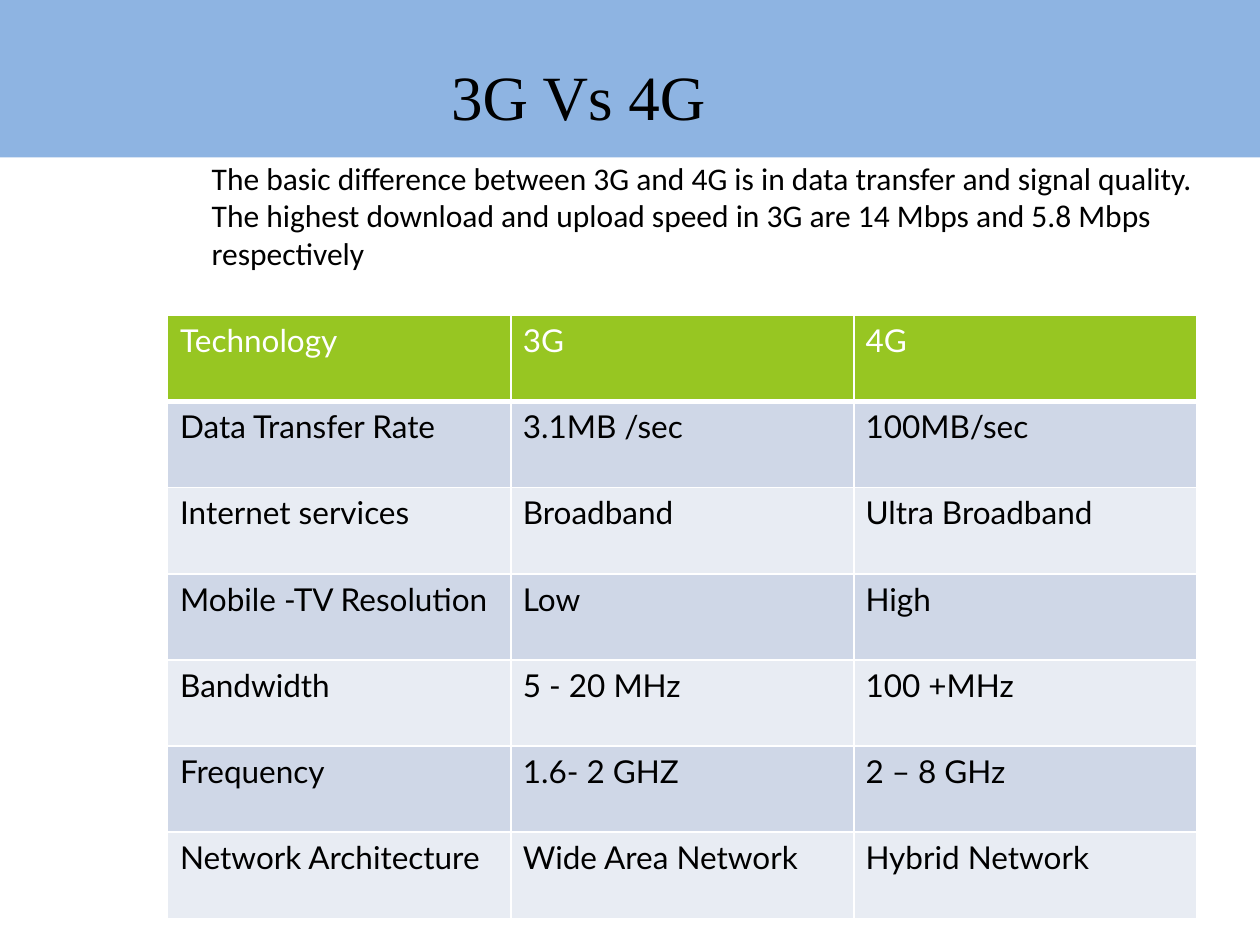
"""Build the 3G versus 4G comparison slide."""
from lxml.etree import SubElement
from pptx import Presentation
from pptx.dml.color import RGBColor
from pptx.enum.shapes import MSO_CONNECTOR, MSO_SHAPE
from pptx.enum.text import MSO_ANCHOR, PP_ALIGN
from pptx.oxml.ns import qn
from pptx.util import Inches, Pt

TITLE = "3G Vs 4G"
INTRO = ("The basic difference between 3G and 4G is in data transfer and signal quality. "
         "The highest download and upload speed in 3G are 14 Mbps and 5.8 Mbps respectively")
ROWS = [
    ("Technology", "3G", "4G"),
    ("Data Transfer Rate", "3.1MB /sec", "100MB/sec"),
    ("Internet services", "Broadband", "Ultra Broadband"),
    ("Mobile -TV Resolution", "Low", "High"),
    ("Bandwidth", "5 - 20 MHz", "100 +MHz"),
    ("Frequency", "1.6- 2 GHZ", "2 – 8 GHz"),
    ("Network Architecture", "Wide Area Network", "Hybrid Network"),
]
COLORS = {"banner": "8EB4E2", "header": "97C622", "odd": "CFD7E7", "even": "E8ECF3",
          "white": "FFFFFF", "black": "000000"}
FONTS = {
    "title": {"name": "Times New Roman", "size": Pt(36), "bold": False},
    "intro": {"name": "Calibri", "size": Pt(18), "bold": False},
    "cell": {"name": "Lato", "size": Pt(18), "bold": False},
}
LEFT, TOP, RIGHT, BOTTOM = 1.33, 2.5, 9.5, 7.29
COL_WIDTHS = (2.63, 2.55, 2.99)
COL_INDENTS = (0.1, 0.19, 0.36)
ROW_HEIGHT = (BOTTOM - TOP) / len(ROWS)
COL_GAP = (RIGHT - LEFT) / len(COL_WIDTHS)
NO_GRID_STYLE = "{2D5ABB26-0587-4C30-8999-92F81FD0307C}"


def rgb(name):
    return RGBColor.from_string(COLORS[name])


def write(tf, text, font, color, margins):
    tf.word_wrap = True
    tf.vertical_anchor = MSO_ANCHOR.TOP
    for side, size in zip(("left", "top", "right", "bottom"), margins):
        setattr(tf, f"margin_{side}", Inches(size))
    p = tf.paragraphs[0]
    p.alignment = PP_ALIGN.LEFT
    r = p.add_run()
    r.text = text
    for key, value in FONTS[font].items():
        setattr(r.font, key, value)
    r.font.color.rgb = rgb(color)


def add_banner(s):
    sp = s.shapes.add_shape(MSO_SHAPE.RECTANGLE, 0, 0, Inches(10), Inches(1.25))
    sp.shadow.inherit = False
    sp.fill.solid()
    sp.fill.fore_color.rgb = rgb("banner")
    sp.line.fill.background()


def add_comparison(s):
    box = [Inches(v) for v in (LEFT, TOP, RIGHT - LEFT, BOTTOM - TOP)]
    frame = s.shapes.add_table(len(ROWS), len(COL_WIDTHS), *box)
    table = frame.table
    frame._element.find(".//" + qn("a:tableStyleId")).text = NO_GRID_STYLE
    for col, width in zip(table.columns, COL_WIDTHS):
        col.width = Inches(width)
    for i, row in enumerate(ROWS):
        table.rows[i].height = Inches(ROW_HEIGHT)
        fill = "header" if i == 0 else "odd" if i % 2 else "even"
        for j, text in enumerate(row):
            cell = table.cell(i, j)
            cell.fill.solid()
            cell.fill.fore_color.rgb = rgb(fill)
            for side, size in (("left", COL_INDENTS[j]), ("top", 0.05),
                               ("right", 0), ("bottom", 0)):
                setattr(cell, f"margin_{side}", Inches(size))
            r = cell.text_frame.paragraphs[0].add_run()
            r.text = text
            for key, value in FONTS["cell"].items():
                setattr(r.font, key, value)
            r.font.color.rgb = rgb("black" if i else "white")


def add_rule(s, x1, y1, x2, y2, width=1):
    ends = [Inches(v) for v in (x1, y1, x2, y2)]
    line = s.shapes.add_connector(MSO_CONNECTOR.STRAIGHT, *ends)
    line.line.color.rgb = rgb("white")
    line.line.width = Pt(width)
    SubElement(line._element.spPr, qn("a:effectLst"))


def add_rules(s):
    for j in range(len(COL_WIDTHS) + 1):
        x = LEFT + j * COL_GAP
        add_rule(s, x, TOP, x, BOTTOM)
    for i in range(len(ROWS) + 1):
        y = TOP + i * ROW_HEIGHT
        add_rule(s, LEFT, y, RIGHT, y, 3 if i == 1 else 1)


def main():
    prs = Presentation()
    prs.slide_width, prs.slide_height = Inches(10), Inches(7.5)
    s = prs.slides.add_slide(prs.slide_layouts[5])
    add_banner(s)
    add_comparison(s)
    add_rules(s)

    title = s.shapes.title
    title.left, title.top, title.width, title.height = map(Inches, (3.57, 0.45, 2.04, 0.63))
    write(title.text_frame, TITLE, "title", "black", (0.01, 0.01, 0, 0))
    s.shapes._spTree.append(title._element)

    intro = s.shapes.add_textbox(*map(Inches, (1.67, 1.25, 7.85, 0.93)))
    write(intro.text_frame, INTRO, "intro", "black", (0.01, 0.01, 0, 0))
    prs.save("out.pptx")


if __name__ == "__main__":
    main()
